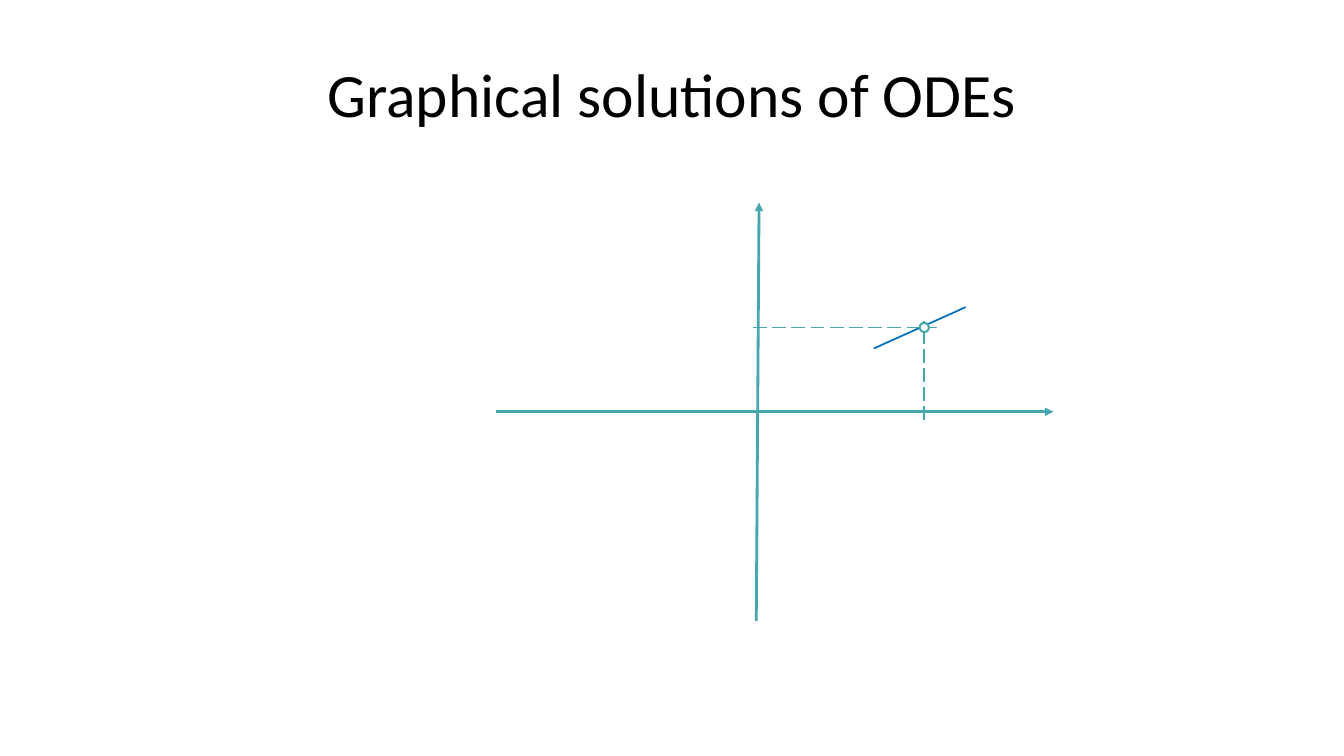
from lxml import etree
from pptx import Presentation
from pptx.dml.color import RGBColor
from pptx.enum.dml import MSO_LINE
from pptx.enum.shapes import MSO_CONNECTOR, MSO_SHAPE
from pptx.enum.text import MSO_ANCHOR, PP_ALIGN
from pptx.oxml.ns import qn
from pptx.util import Pt

STRAIGHT = MSO_CONNECTOR.STRAIGHT
LONG_DASH = MSO_LINE.LONG_DASH
OVAL = MSO_SHAPE.OVAL
MIDDLE = MSO_ANCHOR.MIDDLE
CENTER = PP_ALIGN.CENTER

COLORS = {"text": "000000", "axis": "48A6AD", "tangent": "0070C0", "marker": "FFFFFF"}
TITLE_FONT = {"name": "Calibri", "size": Pt(44), "bold": False}


def color(name):
    return RGBColor.from_string(COLORS[name])


def add_line(slide, start, end, color_name, width, dash=None, arrow=False):
    connector = slide.shapes.add_connector(
        STRAIGHT, *(Pt(value) for value in (*start, *end)))
    connector.line.color.rgb = color(color_name)
    connector.line.width = Pt(width)
    if dash:
        connector.line.dash_style = dash
    properties = connector._element.spPr
    if arrow:
        outline = properties.find(qn("a:ln"))
        etree.SubElement(outline, qn("a:tailEnd"), type="triangle")
    etree.SubElement(properties, qn("a:effectLst"))


def add_title(slide, text, left, top, width, height):
    title = slide.shapes.title
    box = {"left": left, "top": top, "width": width, "height": height}
    for name, value in box.items():
        setattr(title, name, Pt(value))
    frame = title.text_frame
    frame.text = text
    frame.vertical_anchor = MIDDLE
    paragraph = frame.paragraphs[0]
    paragraph.alignment = CENTER
    for name, value in TITLE_FONT.items():
        setattr(paragraph.font, name, value)
    paragraph.font.color.rgb = color("text")


def add_slope_plot(slide, left, top, width, height):
    right, bottom = left + width, top + height
    axis_x, axis_y = left + 187, top + height / 2
    point_x, point_y = left + 306, top + 89.2

    # Tangent through the solution point
    add_line(slide, (point_x - 36, point_y + 15), (point_x + 29.6, point_y - 14.5),
             "tangent", 1.25)

    # Axes, the vertical one leaning slightly
    add_line(slide, (left, axis_y), (right, axis_y), "axis", 2, arrow=True)
    add_line(slide, (axis_x - 1, bottom), (axis_x + 1, top), "axis", 2, arrow=True)

    # Dashed guides from the axes to the point
    add_line(slide, (axis_x - 3.4, point_y), (point_x + 9.4, point_y),
             "axis", 1.25, LONG_DASH)
    add_line(slide, (point_x, axis_y + 6.2), (point_x, point_y - 4.3),
             "axis", 1.25, LONG_DASH)

    # Point marker
    size = 6.6
    marker = slide.shapes.add_shape(
        OVAL, Pt(point_x - size / 2), Pt(point_y - size / 2), Pt(size), Pt(size))
    marker.shadow.inherit = False
    marker.fill.solid()
    marker.fill.fore_color.rgb = color("marker")
    marker.line.color.rgb = color("axis")
    marker.line.width = Pt(1.5)


def main():
    presentation = Presentation()
    presentation.slide_width = Pt(960)
    presentation.slide_height = Pt(540)
    slide = presentation.slides.add_slide(presentation.slide_layouts[5])
    add_title(slide, "Graphical solutions of ODEs", 48, 21.6, 864, 90)
    add_slope_plot(slide, 354.2, 144.7, 398.2, 298.8)
    presentation.save("out.pptx")


if __name__ == "__main__":
    main()
